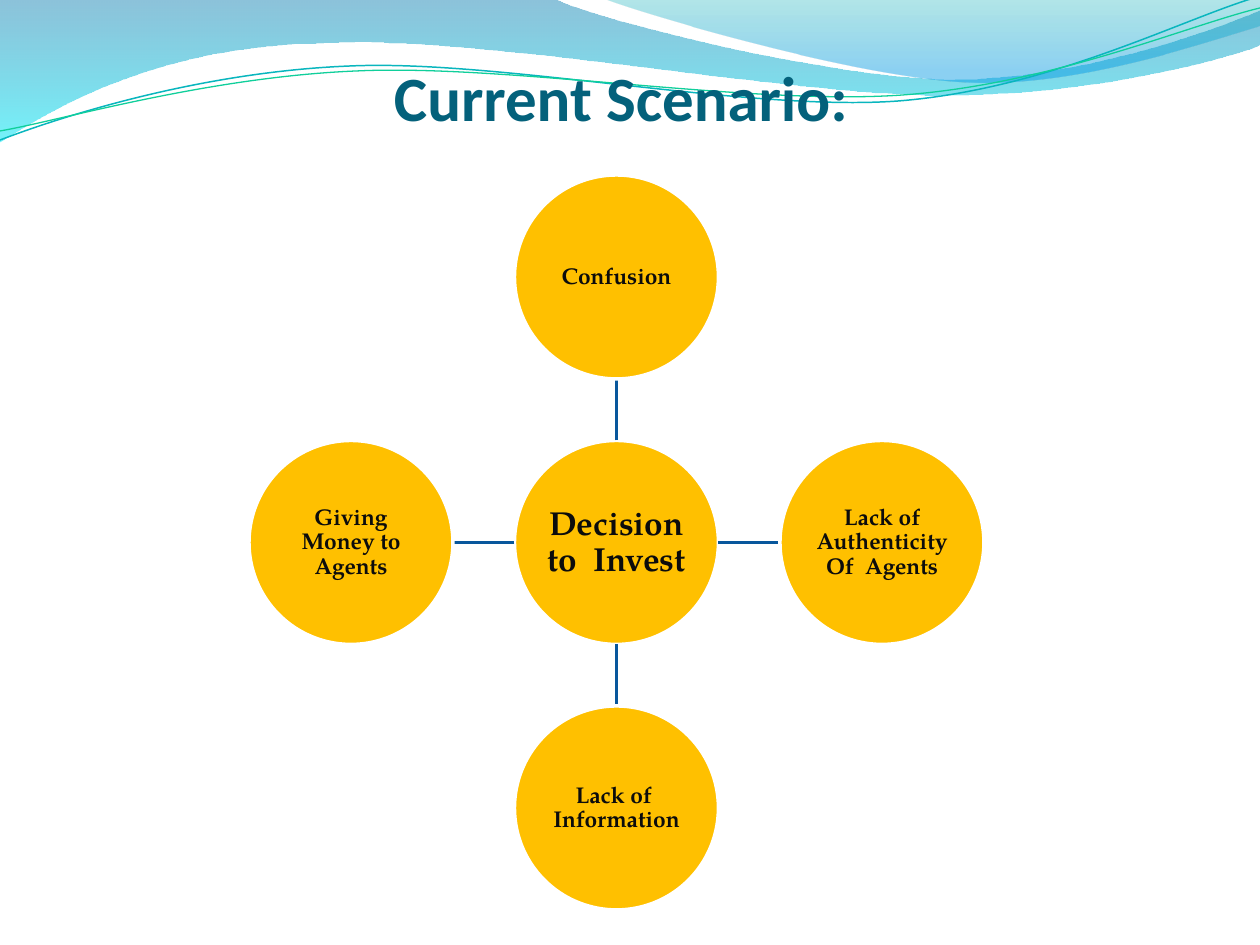
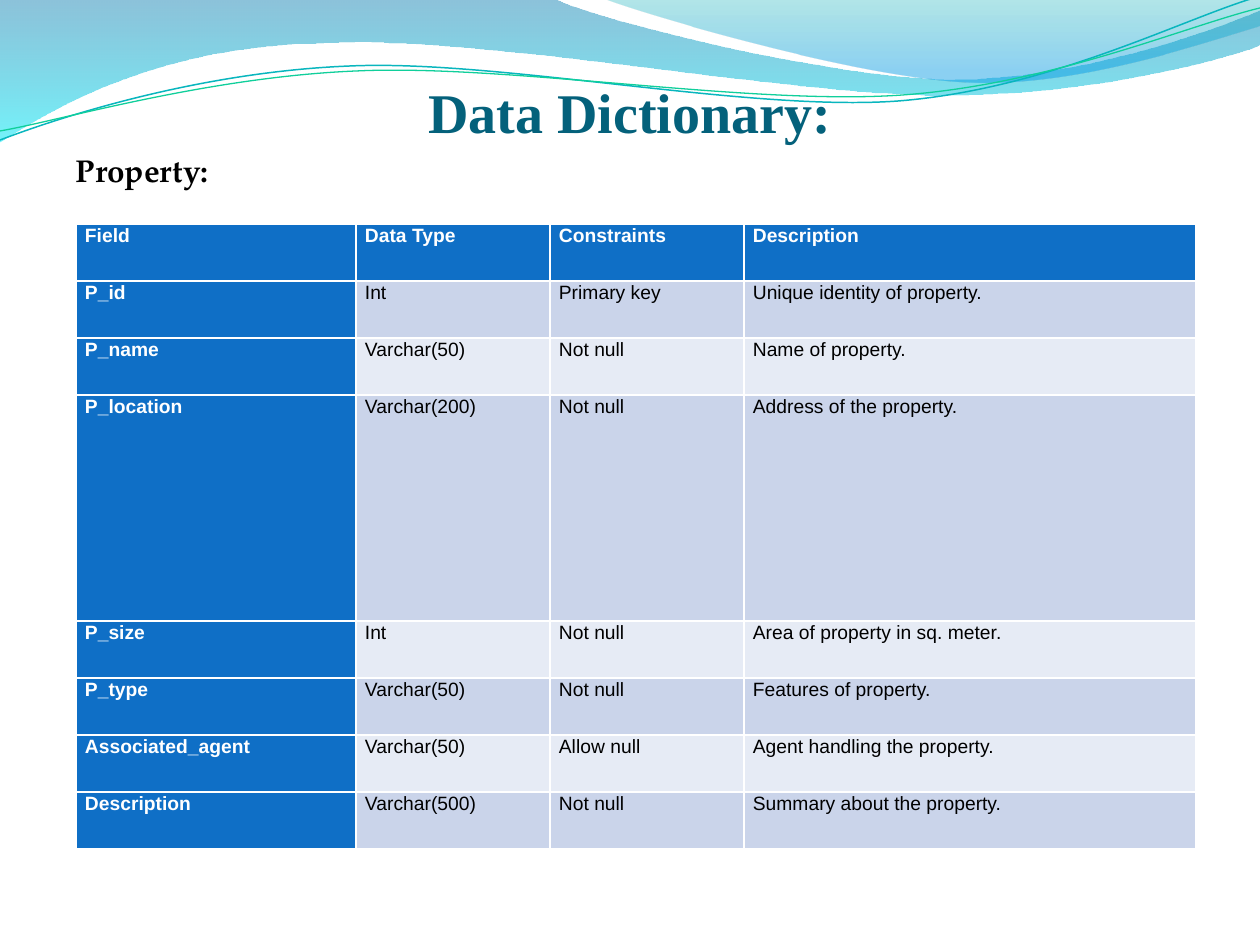
from lxml import etree
from pptx import Presentation
from pptx.dml.color import RGBColor
from pptx.enum.shapes import MSO_CONNECTOR as Connector, MSO_SHAPE as Shape
from pptx.enum.text import MSO_ANCHOR as Anchor, MSO_AUTO_SIZE as AutoSize, PP_ALIGN as Align
from pptx.oxml.ns import qn
from pptx.util import Pt

EMU_PER_PX = 914400 / 126
WHITE, BLACK, INK = "FFFFFF", "000000", "0C0C0C"
TITLE, CIRCLE, SPOKE = "04617B", "FFC000", "08579C"
HEADER, BAND_DARK, BAND_LIGHT = "0F6FC6", "CAD4EA", "E6EBF5"
SERIF = "TeX Gyre Pagella"

# Each wave starts at a point; two numbers add a line, six add a Bezier curve.
# Gradient stops are (position %, colour, opacity %).
WAVES = [
    dict(start=(0, 0), closed=True,
         stops=[(0, "0079AD", 45), (100, "00E9F7", 55)],
         steps=[(554, -1), (600, 21, 837, 79, 955, 79), (1075, 79, 1207, 33, 1260, 11),
                (1261, 45), (1239, 55, 1096, 96, 940, 95), (784, 95, 481, 35, 324, 43),
                (163, 45, 58, 105, -1, 142)]),
    dict(start=(604, -1), closed=True,
         stops=[(0, "00ABB4", 30), (80, "0099E4", 45), (100, "0099E4", 45)],
         steps=[(641, 14, 859, 78, 969, 82), (1079, 87, 1211, 40, 1260, 26), (1260, 0)]),
    dict(start=(0, 140), color="09B6BE", width=0.85,
         steps=[(60, 117, 199, 72, 349, 66), (498, 59, 747, 112, 898, 101),
                (1050, 89, 1182, 19, 1257, -3)]),
    dict(start=(0, 131), color="10CF9B", width=0.75,
         steps=[(59, 121, 207, 77, 357, 71), (508, 64, 752, 106, 903, 95),
                (1053, 84, 1186, 26, 1260, 8)]),
]

# Direction from the hub (x, y) and the label at the end of the spoke
CONCERNS = [
    (0, -1, "Confusion"),
    (1, 0, "Lack of Authenticity Of  Agents"),
    (0, 1, "Lack of  Information"),
    (-1, 0, "Giving Money to Agents"),
]

PROPERTY_FIELDS = [
    ("Field", "Data Type", "Constraints", "Description"),
    ("P_id", "Int", "Primary key", "Unique identity of property."),
    ("P_name", "Varchar(50)", "Not null", "Name of property."),
    ("P_location", "Varchar(200)", "Not null", "Address of the property."),
    ("P_size", "Int", "Not null", "Area of property in sq. meter."),
    ("P_type", "Varchar(50)", "Not null", "Features of property."),
    ("Associated_agent", "Varchar(50)", "Allow null", "Agent handling the property."),
    ("Description", "Varchar(500)", "Not null", "Summary about the property."),
]


def px(*lengths):
    return [round(length * EMU_PER_PX) for length in lengths]


def rgb(color):
    return RGBColor.from_string(color)


def sub(parent, tag, **attributes):
    return etree.SubElement(parent, qn(tag), {k: str(v) for k, v in attributes.items()})


def write(box, text, size=13, font=SERIF, color=BLACK, bold=True, align=Align.LEFT,
          spacing=None, anchor=Anchor.TOP, inset=(13, 6, 13, 6)):
    """Fill a shape or a table cell with one formatted paragraph."""
    frame = box.text_frame
    holder = box if hasattr(box, "margin_left") else frame
    if holder is frame:
        frame.word_wrap = True
        frame.auto_size = AutoSize.NONE
    holder.margin_left, holder.margin_top, holder.margin_right, holder.margin_bottom = px(*inset)
    holder.vertical_anchor = anchor
    paragraph = frame.paragraphs[0]
    paragraph.alignment = align
    if spacing:
        paragraph.line_spacing = spacing
    run = paragraph.add_run()
    run.text = text
    run.font.size, run.font.name, run.font.bold = Pt(size), font, bold
    run.font.color.rgb = rgb(color)


# Shared background waves
def fill_gradient(shape, stops):
    gradient = etree.Element(qn("a:gradFill"), rotWithShape="1")
    stop_list = sub(gradient, "a:gsLst")
    for position, color, opacity in stops:
        stop = sub(stop_list, "a:gs", pos=position * 1000)
        sub(sub(stop, "a:srgbClr", val=color), "a:alpha", val=opacity * 1000)
    sub(gradient, "a:lin", ang=5400000, scaled=0)
    shape._element.spPr.find(qn("a:custGeom")).addnext(gradient)


def bend(shape, steps):
    """Join the three line points of every six-number step into one curve."""
    lines = iter(list(shape._element.iter(qn("a:lnTo"))))
    for step in steps:
        first = next(lines)
        if len(step) == 6:
            first.tag = qn("a:cubicBezTo")
            for line in (next(lines), next(lines)):
                first.append(line[0])
                line.getparent().remove(line)


def draw_wave(slide, start, steps, closed=False, stops=None, color=None, width=None):
    points = [px(*step[i:i + 2]) for step in steps for i in range(0, len(step), 2)]
    builder = slide.shapes.build_freeform(*px(*start))
    builder.add_line_segments(points, close=closed)
    wave = builder.convert_to_shape()
    bend(wave, steps)
    wave.shadow.inherit = False
    if stops:
        fill_gradient(wave, stops)
        wave.line.fill.background()
    else:
        wave.fill.background()
        wave.line.color.rgb = rgb(color)
        wave.line.width = Pt(width)
    return wave


def add_waves_to_master(slide):
    """Draw the waves, then move them behind everything on the slide master."""
    tree = slide.slide_layout.slide_master.shapes._spTree
    for i, wave in enumerate(WAVES):
        element = draw_wave(slide, **wave)._element
        element.nvSpPr.cNvPr.set("id", str(20 + i))
        tree.insert(2 + i, element)


def add_title(slide, text, box, size, font):
    title = slide.shapes.title
    title.left, title.top, title.width, title.height = px(*box)
    write(title, text, size=size, font=font, color=TITLE, align=Align.CENTER,
          anchor=Anchor.BOTTOM, inset=(0, 6, 0, 0))


# Hub with spokes
def add_circle(slide, x, y, diameter, text, size):
    circle = slide.shapes.add_shape(
        Shape.OVAL, *px(x - diameter / 2, y - diameter / 2, diameter, diameter))
    circle.shadow.inherit = False
    circle.fill.solid()
    circle.fill.fore_color.rgb = rgb(CIRCLE)
    circle.line.color.rgb = rgb(WHITE)
    circle.line.width = Pt(2)
    write(circle, text, size=size, color=INK, align=Align.CENTER, spacing=0.9,
          anchor=Anchor.MIDDLE, inset=(1, 1, 1, 1))


def add_spoke(slide, x1, y1, x2, y2):
    spoke = slide.shapes.add_connector(Connector.STRAIGHT, *px(x1, y1, x2, y2))
    spoke.line.color.rgb = rgb(SPOKE)
    spoke.line.width = Pt(2)
    sub(spoke._element.spPr, "a:effectLst")


def add_hub(slide, left, top, size, diameter=204):
    """Place a hub and its four spokes in a square box."""
    x, y = left + size / 2, top + size / 2
    reach, radius = (size - diameter) / 2, diameter / 2
    add_circle(slide, x, y, diameter, "Decision to  Invest", 19)
    for dx, dy, concern in CONCERNS:
        near, far = radius, reach - radius
        add_spoke(slide, x + dx * near, y + dy * near, x + dx * far, y + dy * far)
        add_circle(slide, x + dx * reach, y + dy * reach, diameter, concern, 13)


# Data dictionary table; the white rules come from the default table style
def add_field_table(slide, left, top, widths, heights):
    table = slide.shapes.add_table(
        len(heights), len(widths), *px(left, top, sum(widths), sum(heights))).table
    table.first_col = True
    for column, width in zip(table.columns, px(*widths)):
        column.width = width
    for r, (row, height) in enumerate(zip(table.rows, px(*heights))):
        row.height = height
        for c, cell in enumerate(row.cells):
            heading = r == 0 or c == 0
            cell.fill.solid()
            cell.fill.fore_color.rgb = rgb(
                HEADER if heading else BAND_DARK if r % 2 else BAND_LIGHT)
            write(cell, PROPERTY_FIELDS[r][c], size=11, font="Arial", bold=heading,
                  color=WHITE if heading else BLACK, spacing=1.07, inset=(9, 0, 9, 0))


# Slides
def build_scenario(slide):
    add_title(slide, "Current Scenario:", (54, 45, 1134, 89), 36, "Calibri")
    add_hub(slide, left=249, top=175, size=735)


def build_dictionary(slide):
    add_title(slide, "Data Dictionary:", (63, 45, 1134, 100), 32, "Times New Roman")
    add_field_table(slide, 76, 224, widths=(280, 194, 194, 452),
                    heights=[57] * 3 + [226] + [57] * 4)
    write(slide.shapes.add_textbox(*px(63, 145, 179, 50)), "Property:", size=18)


def main():
    deck = Presentation()
    deck.slide_width, deck.slide_height = px(1260, 945)
    title_only = deck.slide_layouts[5]
    scenario, dictionary = (deck.slides.add_slide(title_only) for _ in range(2))
    add_waves_to_master(scenario)
    build_scenario(scenario)
    build_dictionary(dictionary)
    deck.save("out.pptx")


if __name__ == "__main__":
    main()
